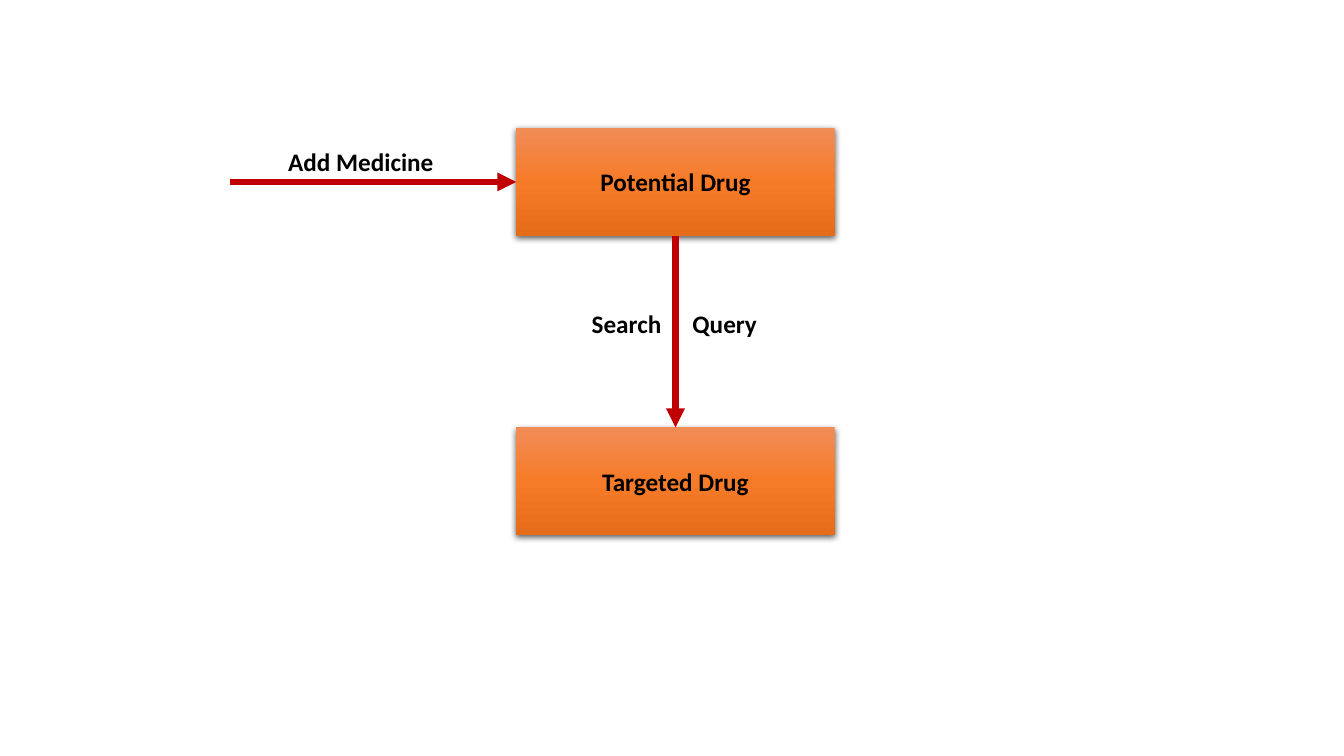
"""Builds a slide with a flow from adding a medicine to a targeted drug."""
from pptx import Presentation
from pptx.dml.color import RGBColor
from pptx.enum.shapes import MSO_CONNECTOR, MSO_SHAPE
from pptx.enum.text import MSO_ANCHOR, MSO_AUTO_SIZE, PP_ALIGN
from pptx.oxml import parse_xml
from pptx.oxml.ns import nsdecls
from pptx.util import Inches, Pt

COLORS = {"text": "000000", "arrow": "C00000", "shadow": "000000",
          "top": "F18C57", "middle": "F67B28", "bottom": "E56C19"}
GRADIENT = [(0, "top"), (50, "middle"), (100, "bottom")]
STAGES = ["Potential Drug", "Targeted Drug"]
LABELS = [("Add Medicine", 2.76, 1.4, 1.65, False),
          ("Search\tQuery", 5.77, 3.01, 1.87, True)]
SLIDE_WIDTH, SLIDE_HEIGHT = 13.33, 7.5
BOX_LEFT, BOX_TOP, BOX_WIDTH, BOX_HEIGHT = 5.12, 1.27, 3.16, 1.07
ROW_STEP = 2.97
ENTRY_LEFT = 2.28
LABEL_HEIGHT = 0.4


def write(frame, text, align):
    para = frame.paragraphs[0]
    para.alignment = align
    span = para.add_run()
    span.text = text
    span.font.name = "Calibri"
    span.font.size = Pt(18)
    span.font.bold = True
    span.font.color.rgb = RGBColor.from_string(COLORS["text"])


def add_stage(page, text, row):
    box = page.shapes.add_shape(
        MSO_SHAPE.RECTANGLE, Inches(BOX_LEFT), Inches(BOX_TOP + row * ROW_STEP),
        Inches(BOX_WIDTH), Inches(BOX_HEIGHT))
    box.line.fill.background()
    box.shadow.inherit = False
    stops = "".join(f'<a:gs pos="{share * 1000}"><a:srgbClr val="{COLORS[name]}"/></a:gs>'
                    for share, name in GRADIENT)
    properties = box.element.spPr
    properties.insert(2, parse_xml(
        f'<a:gradFill {nsdecls("a")} rotWithShape="1"><a:gsLst>{stops}</a:gsLst>'
        '<a:lin ang="5400000" scaled="0"/></a:gradFill>'))
    properties[-1].append(parse_xml(
        f'<a:outerShdw {nsdecls("a")} blurRad="{Pt(4.5)}" dist="{Pt(1.5)}" dir="5400000" '
        f'algn="ctr" rotWithShape="0"><a:srgbClr val="{COLORS["shadow"]}">'
        '<a:alpha val="63000"/></a:srgbClr></a:outerShdw>'))
    box.text_frame.vertical_anchor = MSO_ANCHOR.MIDDLE
    write(box.text_frame, text, PP_ALIGN.CENTER)
    return box


def add_arrow(page, left, top, target, side, source=None):
    arrow = page.shapes.add_connector(MSO_CONNECTOR.STRAIGHT, left, top, left, top)
    if source is not None:
        arrow.begin_connect(source, 2)
    arrow.end_connect(target, side)
    arrow.line.color.rgb = RGBColor.from_string(COLORS["arrow"])
    arrow.line.width = Pt(4.5)
    arrow.line._get_or_add_ln().append(
        parse_xml(f'<a:tailEnd {nsdecls("a")} type="triangle"/>'))
    arrow._element.spPr.append(parse_xml(f'<a:effectLst {nsdecls("a")}/>'))


def add_label(page, text, left, top, width, wrap):
    label = page.shapes.add_textbox(
        Inches(left), Inches(top), Inches(width), Inches(LABEL_HEIGHT))
    label.text_frame.word_wrap = wrap
    label.text_frame.auto_size = MSO_AUTO_SIZE.SHAPE_TO_FIT_TEXT
    write(label.text_frame, text, PP_ALIGN.LEFT)


def main():
    deck = Presentation()
    deck.slide_width = Inches(SLIDE_WIDTH)
    deck.slide_height = Inches(SLIDE_HEIGHT)
    page = deck.slides.add_slide(deck.slide_layouts[6])
    potential, targeted = [add_stage(page, text, row) for row, text in enumerate(STAGES)]
    add_arrow(page, Inches(ENTRY_LEFT), potential.top + potential.height // 2, potential, 1)
    add_arrow(page, potential.left + potential.width // 2,
              potential.top + potential.height, targeted, 0, potential)
    for label in LABELS:
        add_label(page, *label)
    deck.save("out.pptx")


if __name__ == "__main__":
    main()
